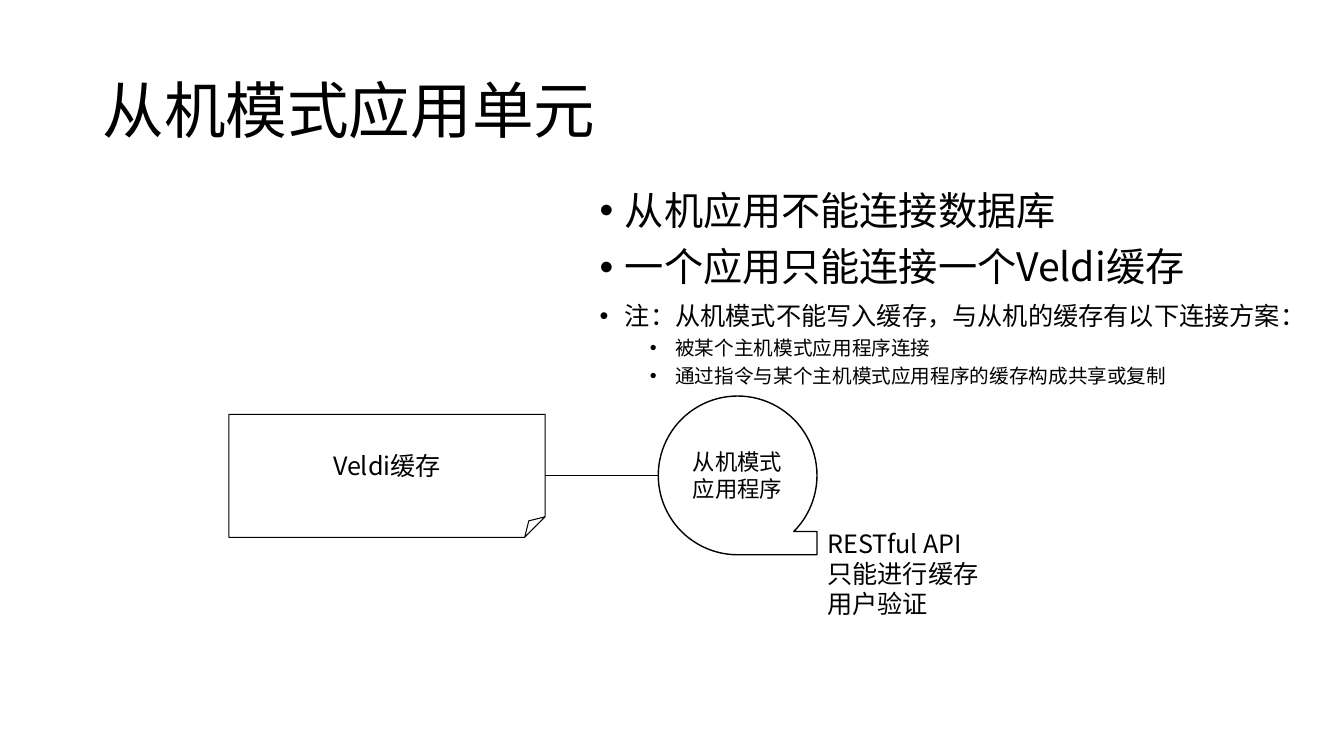
from lxml import etree
from pptx import Presentation
from pptx.dml.color import RGBColor
from pptx.enum.shapes import MSO_CONNECTOR, MSO_SHAPE
from pptx.enum.text import MSO_ANCHOR, MSO_AUTO_SIZE, PP_ALIGN
from pptx.oxml.ns import qn
from pptx.util import Cm, Pt

BLACK = RGBColor(0x00, 0x00, 0x00)
WHITE = RGBColor(0xFF, 0xFF, 0xFF)
FONT = "Noto Sans CJK SC"


def write_lines(box, lines, size, align=PP_ALIGN.LEFT, anchor=MSO_ANCHOR.TOP, wrap=True, spacing=1.0):
    frame = box.text_frame
    frame.word_wrap = wrap
    frame.auto_size = MSO_AUTO_SIZE.NONE
    frame.vertical_anchor = anchor
    for index, text in enumerate(lines):
        para = frame.add_paragraph() if index else frame.paragraphs[0]
        para.alignment = align
        para.line_spacing = spacing
        span = para.add_run()
        span.text = text
        span.font.size = Pt(size)
        span.font.name = FONT
        span.font.color.rgb = BLACK
        etree.SubElement(span.font._element, qn("a:ea"), typeface=FONT)
    return frame


def add_outlined(kind, left, top, width, height, line_width):
    shape = page.shapes.add_shape(kind, Cm(left), Cm(top), Cm(width), Cm(height))
    shape.shadow.inherit = False
    shape.line.color.rgb = BLACK
    shape.line.width = Pt(line_width)
    return shape


deck = Presentation()
deck.slide_width = Cm(33.87)
deck.slide_height = Cm(19.05)
page = deck.slides.add_slide(deck.slide_layouts[5])

title = page.shapes.title
title.left, title.top, title.width, title.height = Cm(2.33), Cm(1.01), Cm(29.21), Cm(3.68)
write_lines(title, ["从机模式应用单元"], 44, anchor=MSO_ANCHOR.MIDDLE, spacing=0.9)

rules = [
    ("从机应用不能连接数据库", 0, 28),
    ("一个应用只能连接一个Veldi缓存", 0, 28),
    ("注：从机模式不能写入缓存，与从机的缓存有以下连接方案：", 0, 18),
    ("被某个主机模式应用程序连接", 1, 14),
    ("通过指令与某个主机模式应用程序的缓存构成共享或复制", 1, 14),
]
rules_box = page.shapes.add_textbox(Cm(14.86), Cm(4.7), Cm(19), Cm(12.09))
rules_frame = write_lines(rules_box, [text for text, level, size in rules], 28, spacing=0.9)
for para, (text, level, size) in zip(rules_frame.paragraphs, rules):
    para.level = level
    para.space_before = Pt(5 if level else 10)
    para.runs[0].font.size = Pt(size)
    properties = para._p.get_or_add_pPr()
    properties.set("marL", str(Cm(0.64 + 1.27 * level)))
    properties.set("indent", str(-Cm(0.64)))
    etree.SubElement(properties, qn("a:buFont"), typeface="Arial")
    etree.SubElement(properties, qn("a:buChar"), char="•")

cache = add_outlined(MSO_SHAPE.FOLDED_CORNER, 5.77, 10.44, 7.97, 3.1, 0.75)
cache.fill.background()
write_lines(cache, ["Veldi缓存"], 18, PP_ALIGN.CENTER, MSO_ANCHOR.MIDDLE)

program = add_outlined(MSO_SHAPE.FLOWCHART_SEQUENTIAL_ACCESS_STORAGE, 16.59, 9.98, 4, 4, 1)
program.fill.solid()
program.fill.fore_color.rgb = WHITE
write_lines(program, ["从机模式", "应用程序"], 16, PP_ALIGN.CENTER, MSO_ANCHOR.MIDDLE)

link = page.shapes.add_connector(MSO_CONNECTOR.STRAIGHT, Cm(13.73), Cm(11.99), Cm(16.59), Cm(11.99))
link.line.color.rgb = BLACK
link.line.width = Pt(0.5)
etree.SubElement(link._element.spPr, qn("a:effectLst"))

interface = page.shapes.add_textbox(Cm(20.6), Cm(13.18), Cm(4.37), Cm(2.57))
interface_frame = write_lines(interface, ["RESTful API", "只能进行缓存", "用户验证"], 18, wrap=False)
interface_frame.auto_size = MSO_AUTO_SIZE.SHAPE_TO_FIT_TEXT

deck.save("out.pptx")
